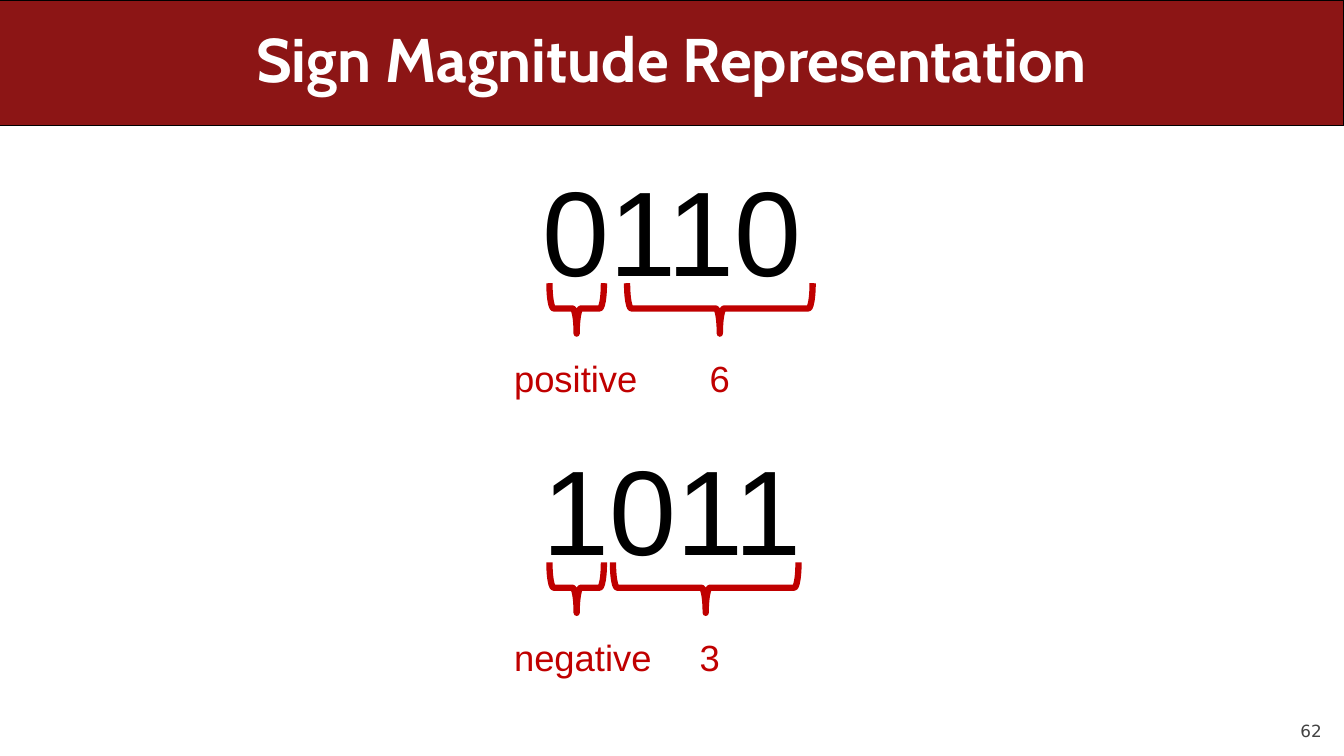
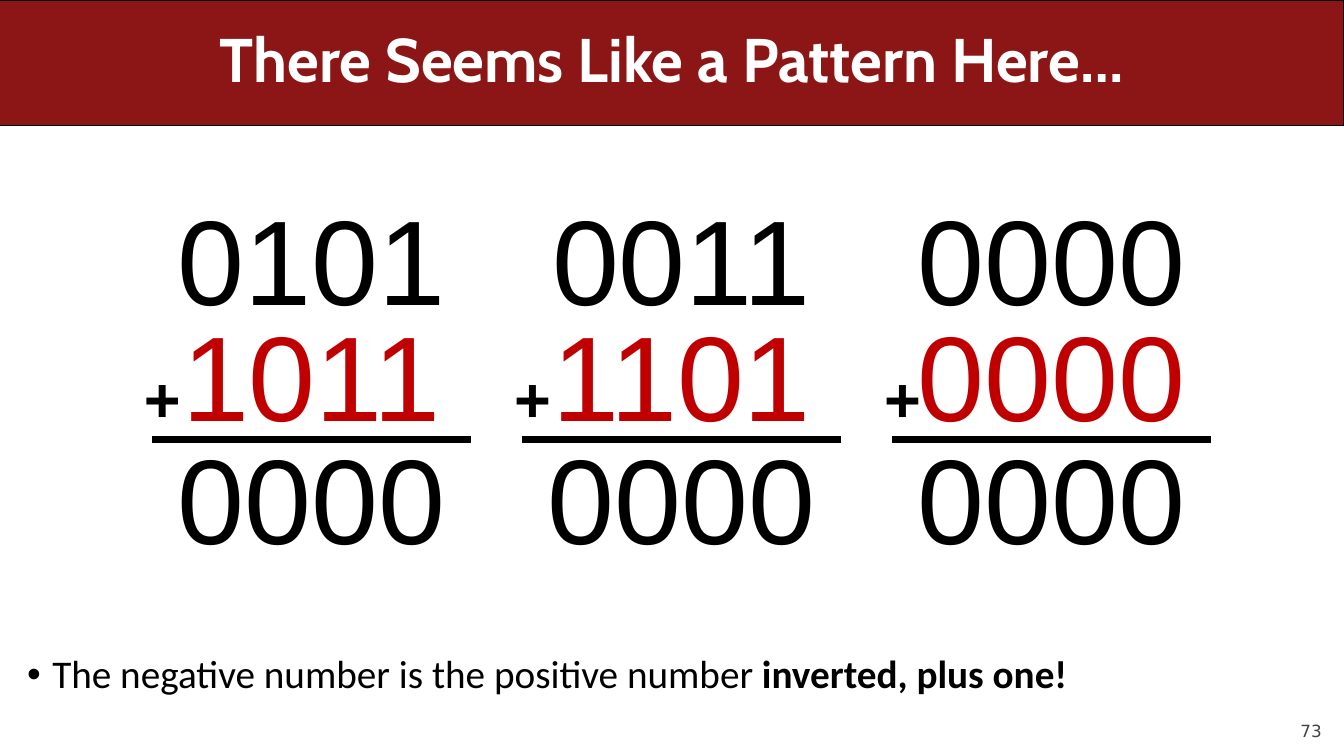
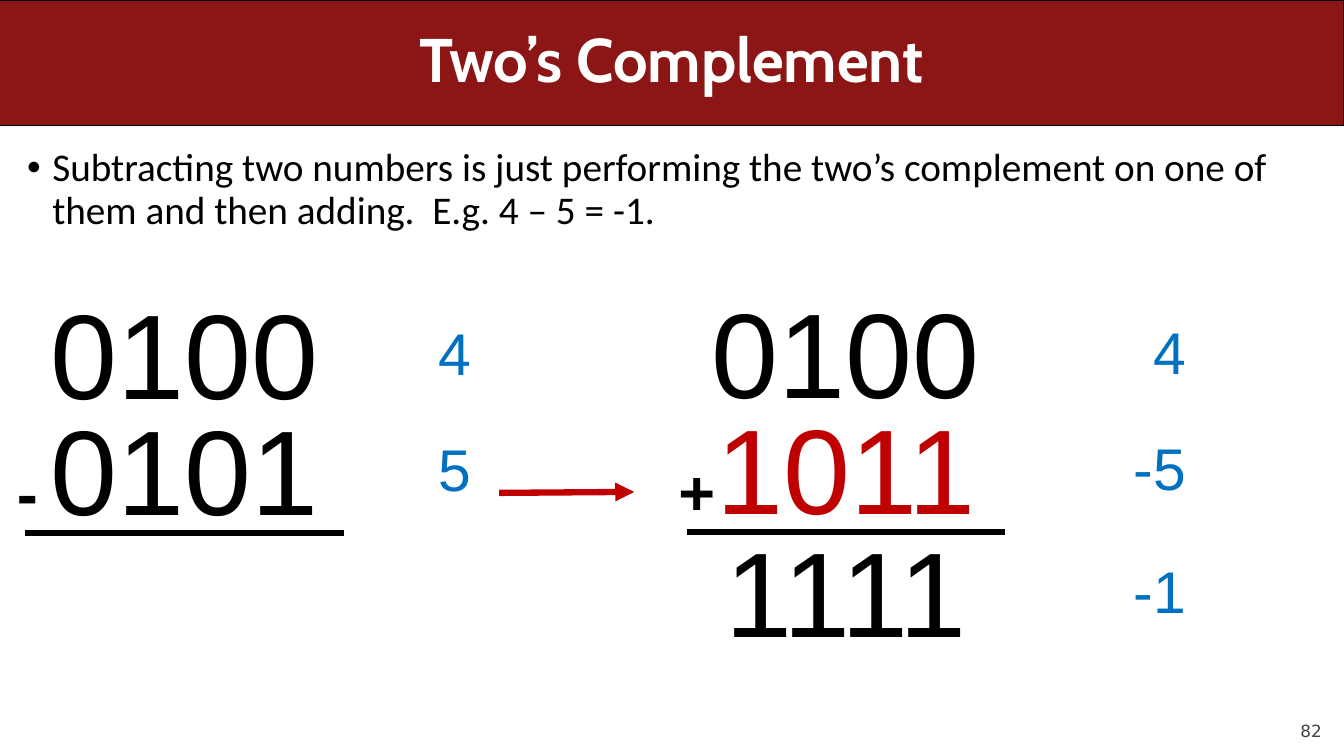
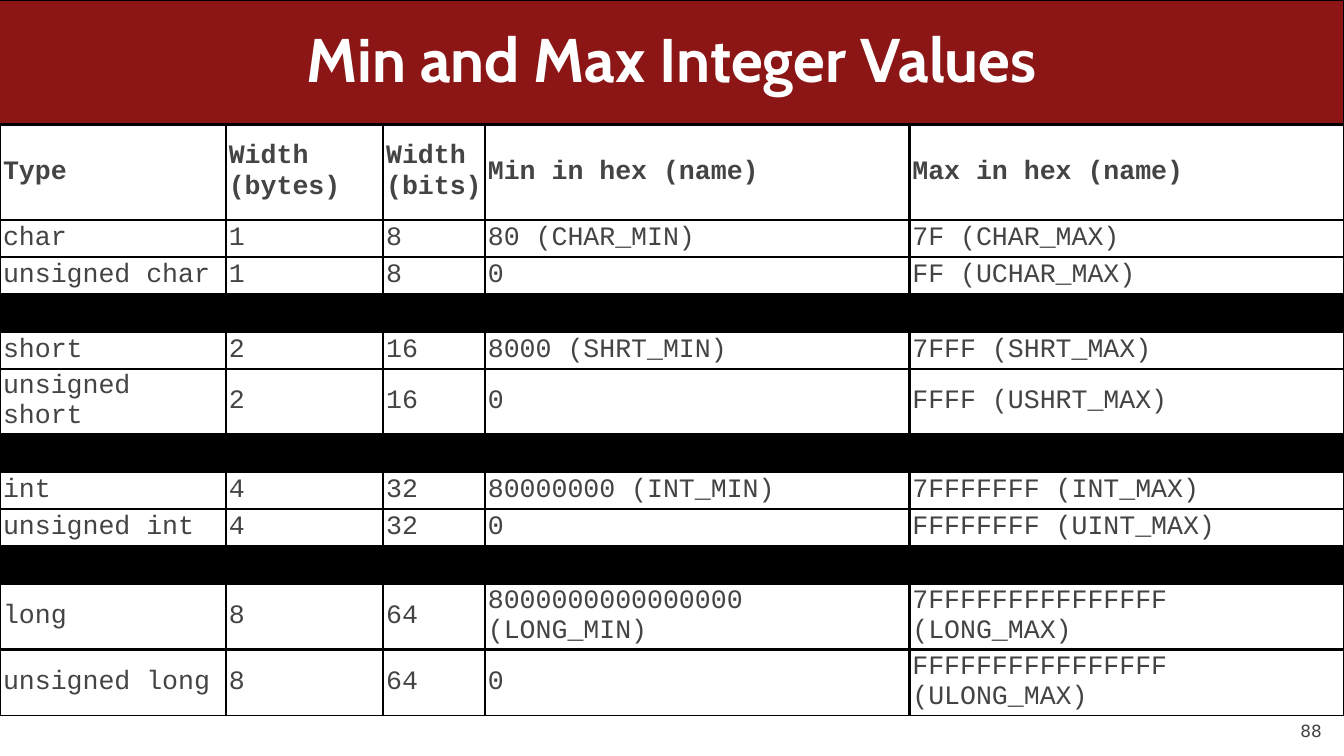
from lxml import etree
from pptx import Presentation
from pptx.dml.color import RGBColor
from pptx.enum import shapes, text
from pptx.oxml import ns
from pptx.util import Inches, Pt

BAND = RGBColor(0x8C, 0x15, 0x15)
RED = RGBColor(0xC0, 0x00, 0x00)
BLUE = RGBColor(0x00, 0x70, 0xC0)
BLACK = RGBColor(0x00, 0x00, 0x00)
WHITE = RGBColor(0xFF, 0xFF, 0xFF)
TABLE_GREY = RGBColor(0x44, 0x44, 0x44)
NUMBER_GREY = RGBColor(0x42, 0x42, 0x42)

LEFT, CENTER, RIGHT = text.PP_ALIGN.LEFT, text.PP_ALIGN.CENTER, text.PP_ALIGN.RIGHT
TOP, MIDDLE, BOTTOM = (text.MSO_ANCHOR.TOP, text.MSO_ANCHOR.MIDDLE,
                       text.MSO_ANCHOR.BOTTOM)
SLIDE_W, SLIDE_H, BAND_H = 13.33, 7.5, 1.25

LIMITS = [
    ("Type", "Width (bytes)", "Width (bits)", "Min in hex (name)", "Max in hex (name)"),
    ("char", "1", "8", "80 (CHAR_MIN)", "7F (CHAR_MAX)"),
    ("unsigned char", "1", "8", "0", "FF (UCHAR_MAX)"),
    None,
    ("short", "2", "16", "8000 (SHRT_MIN)", "7FFF (SHRT_MAX)"),
    ("unsigned short", "2", "16", "0", "FFFF (USHRT_MAX)"),
    None,
    ("int", "4", "32", "80000000 (INT_MIN)", "7FFFFFFF (INT_MAX)"),
    ("unsigned int", "4", "32", "0", "FFFFFFFF (UINT_MAX)"),
    None,
    ("long", "8", "64", "8000000000000000 (LONG_MIN)", "7FFFFFFFFFFFFFFF (LONG_MAX)"),
    ("unsigned long", "8", "64", "0", "FFFFFFFFFFFFFFFF (ULONG_MAX)"),
]
LIMIT_COLS = [2.24, 1.56, 1.01, 4.21, 4.31]
LIMIT_ROWS = [0.95, 0.37, 0.37, 0.37, 0.37, 0.64, 0.37, 0.37, 0.37, 0.37, 0.64, 0.64]


# Building blocks
def sub(parent, tag, **attrs):
    return etree.SubElement(parent, ns.qn(tag), attrs)


def add_run(p, content, size, font, color, bold=False):
    r = p.add_run()
    r.text = content
    r.font.size, r.font.name, r.font.bold = Pt(size), font, bold
    r.font.color.rgb = color


def add_text(s, content, x, y, w, h, size=26, font="Arial", color=BLACK,
             bold=False, align=LEFT, anchor=TOP, inset=None, spacing=None):
    tf = s.shapes.add_textbox(Inches(x), Inches(y), Inches(w), Inches(h)).text_frame
    tf.word_wrap = True
    tf.vertical_anchor = anchor
    if inset is not None:
        tf.margin_left = tf.margin_right = Inches(inset)
        tf.margin_top = tf.margin_bottom = Inches(inset)
    p = tf.paragraphs[0]
    p.alignment, p.line_spacing = align, spacing
    if content:
        add_run(p, content, size, font, color, bold)
    return p


def add_line(s, x1, y1, x2, y2, color=BLACK, arrow=False):
    line = s.shapes.add_connector(shapes.MSO_CONNECTOR.STRAIGHT, Inches(x1),
                                  Inches(y1), Inches(x2), Inches(y2))
    line.line.color.rgb = color
    line.line.width = Pt(4.5)
    if arrow:
        sub(line.line._get_or_add_ln(), "a:tailEnd", type="triangle")
    sub(line._element.spPr, "a:effectLst")


def add_bullet(s, runs, x, y, w, h):
    p = add_text(s, "", x, y, w, h, spacing=0.9)
    pPr = p._p.get_or_add_pPr()
    pPr.set("marL", str(Inches(0.25)))
    pPr.set("indent", str(-Inches(0.25)))
    sub(pPr, "a:buFont", typeface="Arial")
    sub(pPr, "a:buChar", char="•")
    for content, bold in runs:
        add_run(p, content, 28, "Calibri", BLACK, bold)


# Band, title and page number of every slide
def new_slide(prs, title, number):
    s = prs.slides.add_slide(prs.slide_layouts[6])
    band = s.shapes.add_shape(shapes.MSO_SHAPE.RECTANGLE, 0, 0,
                              Inches(SLIDE_W), Inches(BAND_H))
    band.shadow.inherit = False
    band.fill.solid()
    band.fill.fore_color.rgb = BAND
    band.line.color.rgb = BLACK
    band.line.width = Pt(0.75)
    add_text(s, title, 0.5, 0, SLIDE_W - 1, BAND_H, size=44, font="Cabin",
             color=WHITE, bold=True, align=CENTER, anchor=MIDDLE, spacing=0.9)
    add_text(s, str(number), 12, 6.95, 1.11, 0.4, size=12, font="DejaVu Sans",
             color=NUMBER_GREY, align=RIGHT, anchor=BOTTOM, inset=0)
    return s


def add_digits(s, digits, x, y, color=BLACK):
    add_text(s, digits, x, y, 3, 1.55, size=86, color=color, align=CENTER)


# Brace under digits, opening upwards: a left brace turned a quarter
def add_brace(s, x, y, w, h=0.5):
    brace = s.shapes.add_shape(shapes.MSO_SHAPE.LEFT_BRACE, Inches(x + (w - h) / 2),
                               Inches(y + (h - w) / 2), Inches(h), Inches(w))
    brace.rotation = 270
    brace.shadow.inherit = False
    brace.fill.background()
    brace.line.color.rgb = RED
    brace.line.width = Pt(4.5)


# Four bits split into sign and magnitude
def add_signed_number(s, x, y, digits, sign, magnitude, brace_dx, label_dx):
    add_digits(s, digits, x + 0.17, y)
    for label, bx, bw, lx in ((sign, 0.45, 0.54, 0),
                              (magnitude, brace_dx, 1.84, label_dx)):
        add_brace(s, x + bx, y + 1.31, bw)
        add_text(s, label, x + lx, y + 1.98, 1.7, 0.54, color=RED)


# Column arithmetic, with decimal values to its right when given
def add_sum(s, x, y, operator, rows, second_color=RED, values=(), values_right=0):
    tops = (0, 1.15, 2.37)
    for digits, dy, color in zip(rows, tops, (BLACK, second_color, BLACK)):
        add_digits(s, digits, x + 0.26, y + dy, color)
    add_line(s, x + 0.18, y + 2.57, x + 3.34, y + 2.57)
    add_text(s, operator, x, y + 1.73, 0.8, 0.86, size=45, bold=True)
    for value, dy in zip(values, tops):
        add_text(s, value, values_right - 1, y + dy + 0.37, 1, 0.81, size=42,
                 color=BLUE, align=RIGHT)


def set_borders(cell, widths):
    tcPr = cell._tc.get_or_add_tcPr()
    for side, width in zip("LRTB", widths):
        ln = sub(tcPr, f"a:ln{side}", w=str(Pt(width)))
        sub(sub(ln, "a:solidFill"), "a:srgbClr", val=str(BLACK))


# Table with black separator rows and thinner outer borders
def add_limits(s, x, y):
    n_rows, n_cols = len(LIMITS), len(LIMIT_COLS)
    table = s.shapes.add_table(n_rows, n_cols, Inches(x), Inches(y),
                               Inches(sum(LIMIT_COLS)), Inches(sum(LIMIT_ROWS))).table
    table.first_row = table.horz_banding = False
    for col, w in zip(table.columns, LIMIT_COLS):
        col.width = Inches(w)
    for i, (row, h) in enumerate(zip(LIMITS, LIMIT_ROWS)):
        table.rows[i].height = Inches(h)
        for j in range(n_cols):
            cell = table.cell(i, j)
            outer = (j == 0, j == n_cols - 1, i == 0, i == n_rows - 1)
            set_borders(cell, [1 if edge else 2 for edge in outer])
            cell.margin_left = cell.margin_right = Inches(0.03)
            # Slim margins keep the rows clear of the page number
            cell.margin_top = cell.margin_bottom = Inches(0.01)
            cell.vertical_anchor = MIDDLE
            p = cell.text_frame.paragraphs[0]
            if row:
                cell.fill.background()
                add_run(p, row[j], 19, "Courier New", TABLE_GREY, bold=i == 0)
            else:
                cell.fill.solid()
                cell.fill.fore_color.rgb = BLACK
                p.font.size = Pt(12)


# Slides
def sign_magnitude(prs):
    s = new_slide(prs, "Sign Magnitude Representation", 62)
    add_signed_number(s, 5, 1.5, "0110", "positive", "6", 1.22, 1.94)
    add_signed_number(s, 5, 4.27, "1011", "negative", "3", 1.08, 1.84)


def pattern(prs):
    s = new_slide(prs, "There Seems Like a Pattern Here…", 73)
    sums = (("0101", "1011"), ("0011", "1101"), ("0000", "0000"))
    for i, pair in enumerate(sums):
        add_sum(s, 1.33 + 3.67 * i, 1.79, "+", (*pair, "0000"))
    add_bullet(s, [("The negative number is the positive number ", False),
                   ("inverted, plus one!", True)], 0.17, 6.45, 12.92, 0.63)


def twos_complement(prs):
    s = new_slide(prs, "Two’s Complement", 82)
    add_bullet(s, [("Subtracting two numbers is just performing the two’s complement "
                    "on one of them and then adding.  E.g. 4 – 5 = -1.", False)],
               0.17, 1.42, 12.92, 5.67)
    add_sum(s, 0.07, 2.72, "-", ("0100", "0101"), second_color=BLACK,
            values=("4", "5"), values_right=4.77)
    add_sum(s, 6.63, 2.71, "+", ("0100", "1011", "1111"),
            values=("4", "-5", "-1"), values_right=11.86)
    add_line(s, 4.95, 4.89, 6.29, 4.88, color=RED, arrow=True)


def integer_limits(prs):
    s = new_slide(prs, "Min and Max Integer Values", 88)
    add_limits(s, 0, 1.23)


def main():
    prs = Presentation()
    prs.slide_width, prs.slide_height = Inches(SLIDE_W), Inches(SLIDE_H)
    for build in (sign_magnitude, pattern, twos_complement, integer_limits):
        build(prs)
    prs.save("out.pptx")


if __name__ == "__main__":
    main()
